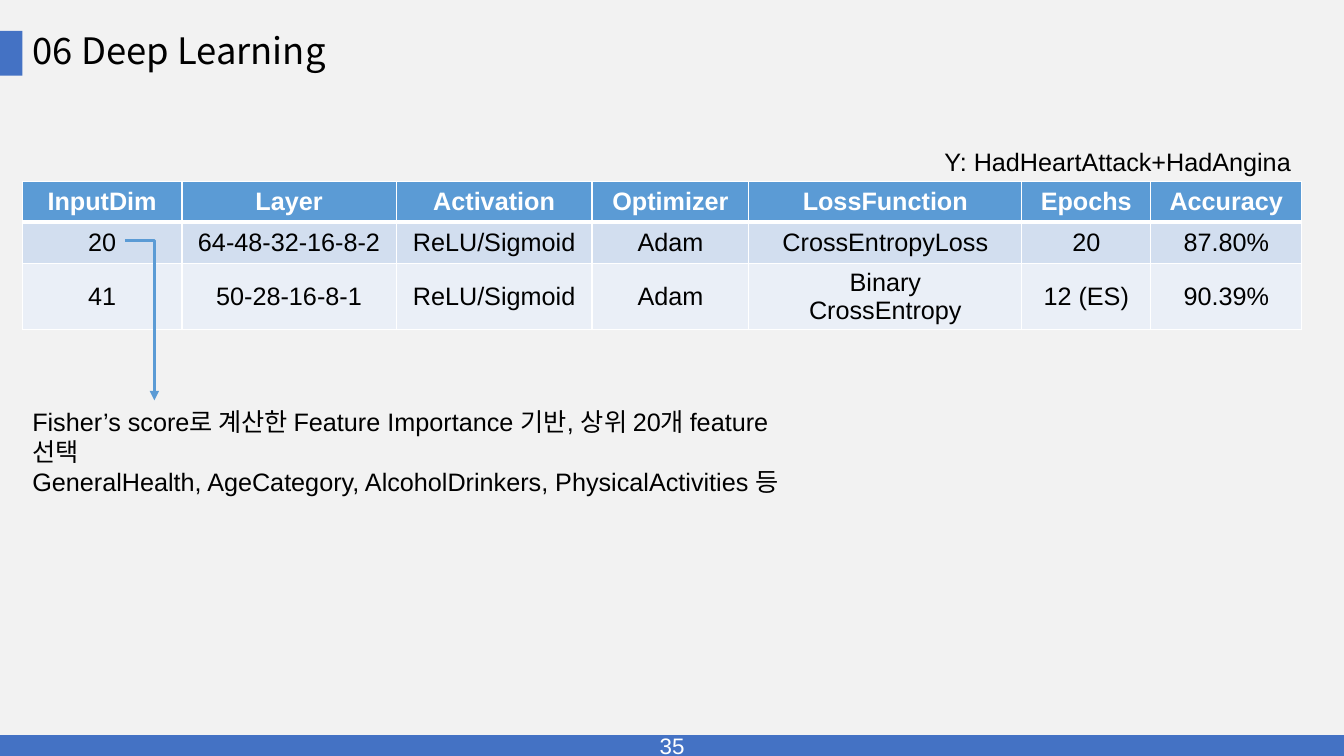
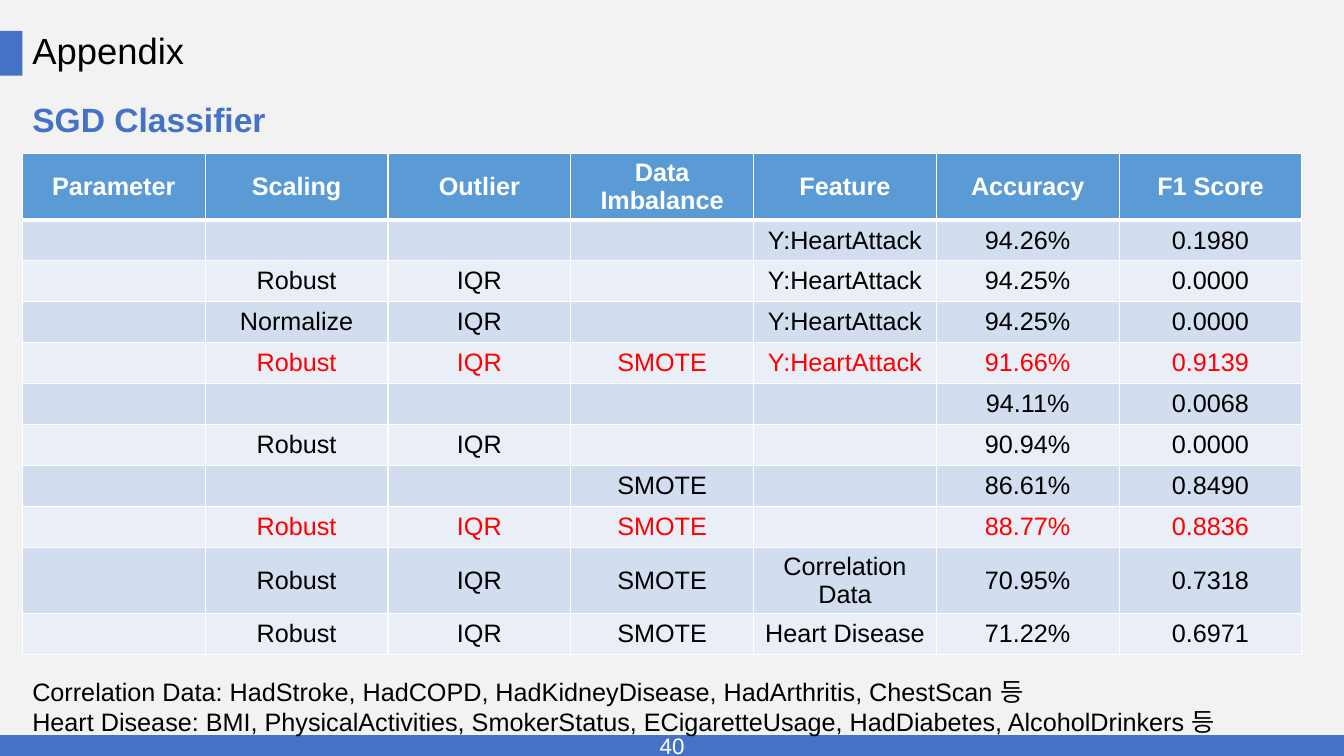
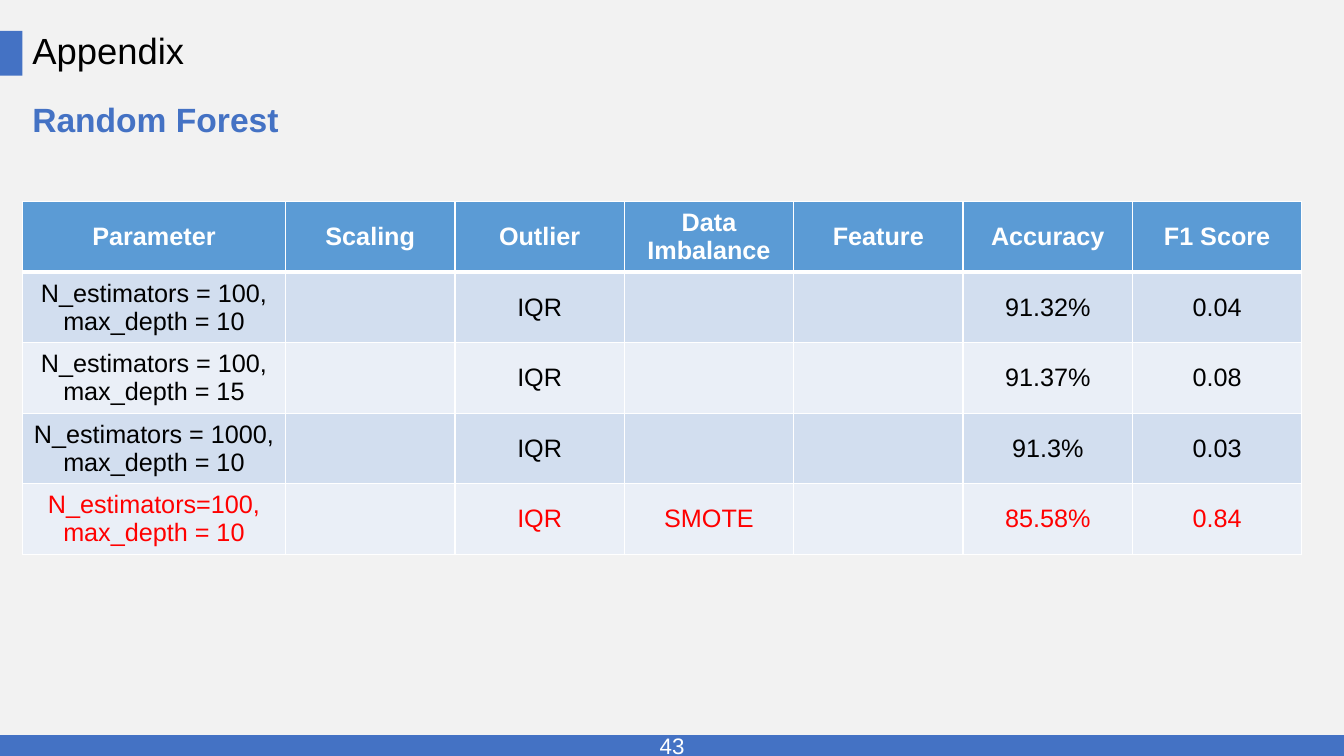
from lxml import etree
from pptx import Presentation
from pptx.dml.color import RGBColor
from pptx.enum.shapes import MSO_CONNECTOR, MSO_SHAPE
from pptx.enum.text import MSO_ANCHOR, MSO_AUTO_SIZE, PP_ALIGN
from pptx.oxml.ns import qn
from pptx.util import Pt

COLORS = {
    "background": "F2F2F2",
    "accent": "4472C4",
    "header": "5B9BD5",
    "odd": "D2DEEF",
    "even": "EAEFF7",
    "text": "000000",
    "best": "FF0000",
    "white": "FFFFFF",
}
LATIN, KOREAN = "Arial", "Noto Sans CJK KR"
WIDTH, HEIGHT = 960, 540
MARGIN, CONTENT_WIDTH = 16, 914
ROW, TALL_ROW = 29.25, 47.5
RESULT_HEADS = ["Parameter", "Scaling", "Outlier", "Data Imbalance",
                "Feature", "Accuracy", "F1 Score"]


def rgb(name):
    return RGBColor.from_string(COLORS[name])


def box(left, top, width, height):
    return Pt(left), Pt(top), Pt(width), Pt(height)


def write(frame, paragraphs, size, color="text", bold=False, font=LATIN, align=PP_ALIGN.LEFT):
    for index, words in enumerate(paragraphs):
        paragraph = frame.add_paragraph() if index else frame.paragraphs[0]
        paragraph.alignment = align
        run = paragraph.add_run()
        run.text = words
        run.font.size = Pt(size)
        run.font.bold = bold
        run.font.name = font
        run.font.color.rgb = rgb(color)
        east_asian = etree.SubElement(run.font._element, qn("a:ea"))
        east_asian.set("typeface", KOREAN)


def add_band(slide, left, top, width, height):
    band = slide.shapes.add_shape(MSO_SHAPE.RECTANGLE, *box(left, top, width, height))
    band.shadow.inherit = False
    band.fill.solid()
    band.fill.fore_color.rgb = rgb("accent")
    band.line.fill.background()
    return band


def add_page(deck, heading, number, font=LATIN):
    slide = deck.slides.add_slide(deck.slide_layouts[5])
    footer = add_band(slide, 0, 525, WIDTH, 15).text_frame
    footer.margin_top = footer.margin_bottom = 0
    footer.vertical_anchor = MSO_ANCHOR.MIDDLE
    write(footer, [number], 16, "white", align=PP_ALIGN.CENTER)
    add_band(slide, 0, 22, MARGIN, 32)

    title = slide.shapes.title
    title.left, title.top, title.width, title.height = box(MARGIN, 22, CONTENT_WIDTH, 32)
    title.text_frame.auto_size = MSO_AUTO_SIZE.NONE
    title.text_frame.vertical_anchor = MSO_ANCHOR.MIDDLE
    write(title.text_frame, [heading], 26, font=font)
    title.text_frame.paragraphs[0].line_spacing = 0.9
    return slide


def add_note(slide, left, top, width, height, paragraphs, size=18, **style):
    frame = slide.shapes.add_textbox(*box(left, top, width, height)).text_frame
    frame.word_wrap = True
    write(frame, paragraphs, size, **style)


def set_borders(cell, row):
    heavy = {"T": row == 1, "B": row == 0}
    properties = cell._tc.get_or_add_tcPr()
    for side in "LRTB":
        line = etree.SubElement(properties, qn(f"a:ln{side}"))
        line.set("w", str(Pt(3 if heavy.get(side) else 1)))
        fill = etree.SubElement(line, qn("a:solidFill"))
        etree.SubElement(fill, qn("a:srgbClr")).set("val", COLORS["white"])


def add_grid(slide, left, top, widths, heights, rows, best=()):
    frame = slide.shapes.add_table(len(rows), len(widths),
                                   *box(left, top, sum(widths), sum(heights)))
    grid = frame.table
    for column, width in zip(grid.columns, widths):
        column.width = Pt(width)
    for r, (values, height) in enumerate(zip(rows, heights)):
        grid.rows[r].height = Pt(height)
        band = "header" if r == 0 else "odd" if r % 2 else "even"
        ink = "white" if r == 0 else "best" if r in best else "text"
        for c, value in enumerate(values):
            cell = grid.cell(r, c)
            set_borders(cell, r)
            cell.fill.solid()
            cell.fill.fore_color.rgb = rgb(band)
            cell.vertical_anchor = MSO_ANCHOR.MIDDLE
            if value:
                write(cell.text_frame, value.split("\n"), 18, ink,
                      bold=r == 0, align=PP_ALIGN.CENTER)


def add_corner_arrow(slide, left, top, width, height):
    x, y = left + width / 2, top + height / 2
    arrow = slide.shapes.add_connector(
        MSO_CONNECTOR.ELBOW, Pt(x - height / 2), Pt(y - width / 2),
        Pt(x + height / 2), Pt(y + width / 2))
    arrow.line.color.rgb = rgb("header")
    arrow.line.width = Pt(2.25)
    properties = arrow._element.spPr
    transform = properties.find(qn("a:xfrm"))
    transform.set("rot", "16200000")
    transform.set("flipH", "1")
    adjustments = properties.find(qn("a:prstGeom")).get_or_add_avLst()
    guide = etree.SubElement(adjustments, qn("a:gd"))
    guide.set("name", "adj1")
    guide.set("fmla", "val 0")
    etree.SubElement(properties.find(qn("a:ln")), qn("a:tailEnd")).set("type", "triangle")
    etree.SubElement(properties, qn("a:effectLst"))


def deep_learning(deck):
    slide = add_page(deck, "06 Deep Learning", "35", KOREAN)
    add_grid(slide, MARGIN, 129.6, [114, 153, 140, 112, 195, 92, 108], [ROW, ROW, TALL_ROW], [
        ["InputDim", "Layer", "Activation", "Optimizer", "LossFunction", "Epochs", "Accuracy"],
        ["20", "64-48-32-16-8-2", "ReLU/Sigmoid", "Adam", "CrossEntropyLoss", "20", "87.80%"],
        ["41", "50-28-16-8-1", "ReLU/Sigmoid", "Adam", "Binary\nCrossEntropy", "12 (ES)",
         "90.39%"],
    ])
    add_note(slide, 667.5, 101, 274, 29, ["Y: HadHeartAttack+HadAngina"])
    add_corner_arrow(slide, 89.25, 172, 21, 114)
    add_note(slide, MARGIN, 286.5, 558, 51, [
        "Fisher’s score로 계산한 Feature Importance 기반, 상위 20개 feature 선택",
        "GeneralHealth, AgeCategory, AlcoholDrinkers, PhysicalActivities 등",
    ])


def appendix(deck, number, model, top, widths, heights, results, best):
    slide = add_page(deck, "Appendix", number)
    add_grid(slide, MARGIN, top, widths, heights, [RESULT_HEADS] + results, best)
    add_note(slide, MARGIN, 67, 864, 36, [model], 24, color="accent", bold=True)
    return slide


def sgd_classifier(deck):
    target = "Y:HeartAttack"
    heights = [TALL_ROW] + [ROW] * 8 + [TALL_ROW, ROW]
    slide = appendix(deck, "40", "SGD Classifier", 109.5, [CONTENT_WIDTH / 7] * 7, heights, [
        ["", "", "", "", target, "94.26%", "0.1980"],
        ["", "Robust", "IQR", "", target, "94.25%", "0.0000"],
        ["", "Normalize", "IQR", "", target, "94.25%", "0.0000"],
        ["", "Robust", "IQR", "SMOTE", target, "91.66%", "0.9139"],
        ["", "", "", "", "", "94.11%", "0.0068"],
        ["", "Robust", "IQR", "", "", "90.94%", "0.0000"],
        ["", "", "", "SMOTE", "", "86.61%", "0.8490"],
        ["", "Robust", "IQR", "SMOTE", "", "88.77%", "0.8836"],
        ["", "Robust", "IQR", "SMOTE", "Correlation Data", "70.95%", "0.7318"],
        ["", "Robust", "IQR", "SMOTE", "Heart Disease", "71.22%", "0.6971"],
    ], best={4, 8})
    add_note(slide, MARGIN, 479.5, 890, 51, [
        "Correlation Data: HadStroke, HadCOPD, HadKidneyDisease, HadArthritis, ChestScan 등",
        "Heart Disease: BMI, PhysicalActivities, SmokerStatus, ECigaretteUsage, HadDiabetes, "
        "AlcoholDrinkers 등",
    ])


def random_forest(deck):
    appendix(deck, "43", "Random Forest", 144, [188] + [121] * 6, [50.4] * 5, [
        ["N_estimators = 100, max_depth = 10", "", "IQR", "", "", "91.32%", "0.04"],
        ["N_estimators = 100, max_depth = 15", "", "IQR", "", "", "91.37%", "0.08"],
        ["N_estimators = 1000, max_depth = 10", "", "IQR", "", "", "91.3%", "0.03"],
        ["N_estimators=100, max_depth = 10", "", "IQR", "SMOTE", "", "85.58%", "0.84"],
    ], best={4})


def main():
    deck = Presentation()
    deck.slide_width, deck.slide_height = Pt(WIDTH), Pt(HEIGHT)
    backdrop = deck.slide_master.background.fill
    backdrop.solid()
    backdrop.fore_color.rgb = rgb("background")
    deep_learning(deck)
    sgd_classifier(deck)
    random_forest(deck)
    deck.save("out.pptx")


if __name__ == "__main__":
    main()
